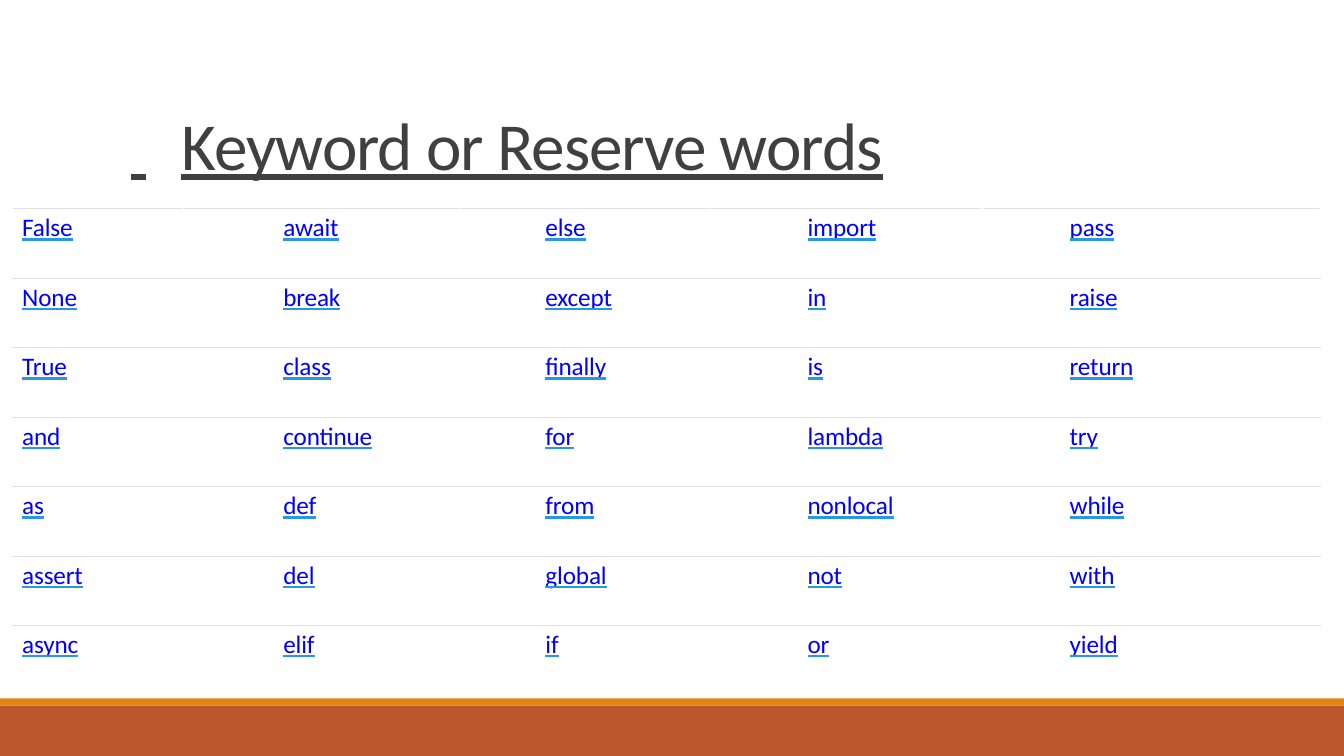
import pptx
import pptx.dml.color
import pptx.enum.shapes
import pptx.enum.text
import pptx.oxml
import pptx.oxml.ns
import pptx.util

Inches = pptx.util.Inches
Pt = pptx.util.Pt
qn = pptx.oxml.ns.qn
NAMESPACE = pptx.oxml.ns.nsdecls("a")
COLORS = {
    "title": "404040",
    "keyword": "0000FF",
    "underline": "2998E3",
    "rule": "DEE1E6",
    "footer": "BC572C",
    "stripe": "E38312",
}


def write_text(text_frame, text, size, color, indent, spacing, underline=None):
    """Write one underlined, left-aligned line of text."""
    paragraph = text_frame.paragraphs[0]
    paragraph.alignment = pptx.enum.text.PP_ALIGN.LEFT
    properties = paragraph._p.get_or_add_pPr()
    properties.set("marL", str(Inches(indent)))
    properties.set("indent", "0")
    run = paragraph.add_run()
    run.text = text
    font = run.font
    font.name = "Calibri"
    font.size = Pt(size)
    font.underline = True
    font.color.rgb = pptx.dml.color.RGBColor.from_string(color)
    run_properties = run._r.get_or_add_rPr()
    run_properties.set("spc", str(round(spacing * 100)))
    if underline:
        run_properties.find(qn("a:solidFill")).addnext(pptx.oxml.parse_xml(
            f'<a:uFill {NAMESPACE}><a:solidFill><a:srgbClr val="{underline}"/>'
            '</a:solidFill></a:uFill>'))
    return paragraph


presentation = pptx.Presentation()
presentation.slide_width = Inches(13.33)
presentation.slide_height = Inches(7.5)
slide = presentation.slides.add_slide(presentation.slide_layouts[5])

# Footer bars
for top, height, color in ((7, 0.5, "footer"), (6.93, 0.07, "stripe")):
    bar = slide.shapes.add_shape(
        pptx.enum.shapes.MSO_SHAPE.RECTANGLE,
        Inches(0), Inches(top), Inches(13.33), Inches(height))
    bar.shadow.inherit = False
    bar.fill.solid()
    bar.fill.fore_color.rgb = pptx.dml.color.RGBColor.from_string(COLORS[color])
    bar.line.fill.background()

# Title, placed by a tab stop
title = slide.shapes.title
title.left, title.top = Inches(1.11), Inches(0.94)
title.width, title.height = Inches(11.1), Inches(2.08)
title_frame = title.text_frame
title_frame.word_wrap = True
title_frame.auto_size = pptx.enum.text.MSO_AUTO_SIZE.NONE
title_frame.vertical_anchor = pptx.enum.text.MSO_ANCHOR.TOP
title_frame.margin_left = title_frame.margin_right = title_frame.margin_bottom = 0
title_frame.margin_top = Inches(0.08)
title_paragraph = write_text(
    title_frame, " \tKeyword or Reserve words", size=48, color=COLORS["title"],
    indent=0.19, spacing=-0.75)
title_paragraph._p.get_or_add_pPr().append(pptx.oxml.parse_xml(
    f'<a:tabLst {NAMESPACE}><a:tab pos="{Inches(2.12)}" algn="l"/></a:tabLst>'))

# Keyword table
KEYWORDS = [
    "False await else import pass",
    "None break except in raise",
    "True class finally is return",
    "and continue for lambda try",
    "as def from nonlocal while",
    "assert del global not with",
    "async elif if or yield",
]
COLUMN_WIDTHS = [1.7, 2.74, 2.49, 2.69, 3.36]
COLUMN_INDENTS = [0.1, 0.99, 0.85, 0.96, 0.87]
ROW_HEIGHTS = [0.69] * 6 + [0.35]

table = slide.shapes.add_table(
    len(KEYWORDS), len(COLUMN_WIDTHS), Inches(0.12), Inches(2.07),
    Inches(sum(COLUMN_WIDTHS)), Inches(sum(ROW_HEIGHTS))).table
table.first_row = False
table.horz_banding = False
for column, width in zip(table.columns, COLUMN_WIDTHS):
    column.width = Inches(width)

last_row = len(KEYWORDS) - 1
for row_index, words in enumerate(KEYWORDS):
    table.rows[row_index].height = Inches(ROW_HEIGHTS[row_index])
    for column_index, word in enumerate(words.split()):
        cell = table.cell(row_index, column_index)
        cell.margin_left = cell.margin_right = cell.margin_bottom = 0
        cell.margin_top = Inches(0.04)
        paragraph = write_text(
            cell.text_frame, word, size=18, color=COLORS["keyword"],
            indent=COLUMN_INDENTS[column_index], spacing=-0.1,
            underline=COLORS["underline"])
        if row_index == last_row:
            paragraph.line_spacing = Pt(21.5)

        # Horizontal rules; the last row stays open below
        cell.fill.background()
        cell_properties = cell._tc.get_or_add_tcPr()
        sides = ["lnT"] if row_index == last_row else ["lnT", "lnB"]
        for position, side in enumerate(sides):
            cell_properties.insert(position, pptx.oxml.parse_xml(
                f'<a:{side} {NAMESPACE} w="{Pt(0.75)}"><a:solidFill>'
                f'<a:srgbClr val="{COLORS["rule"]}"/></a:solidFill></a:{side}>'))

presentation.save("out.pptx")
